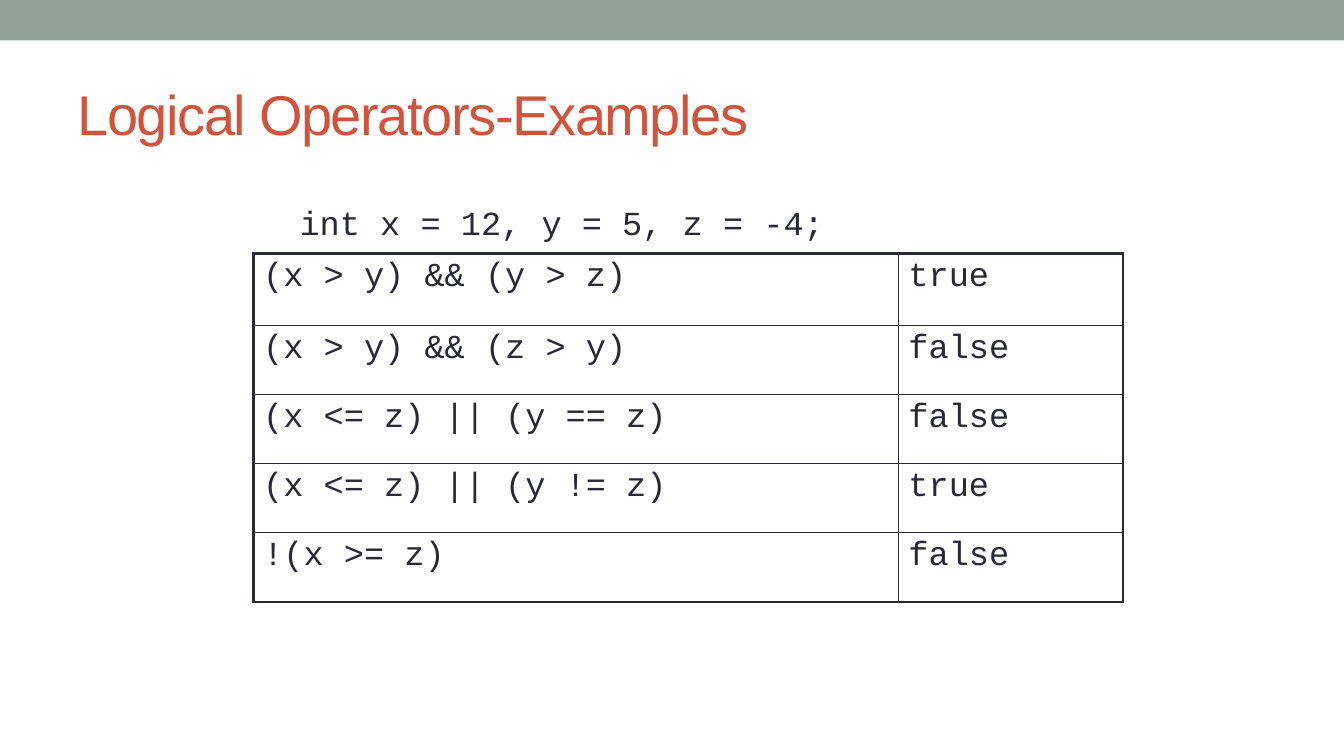
from dataclasses import dataclass

from lxml.etree import SubElement
from pptx import Presentation
from pptx.dml.color import RGBColor
from pptx.enum.shapes import MSO_SHAPE as Preset
from pptx.enum.text import MSO_ANCHOR as Anchor
from pptx.oxml import parse_xml
from pptx.oxml.ns import nsdecls, qn
from pptx.util import Cm, Pt


@dataclass(frozen=True)
class Theme:
    """Colours, fonts and sizes of the slide."""
    band: str = "93A299"
    title: str = "D2533C"
    ink: str = "292934"
    title_font: str = "Arial"
    code_font: str = "Courier New"
    title_size: int = 40
    code_size: int = 24
    outer_line: float = 2.25
    inner_line: float = 1


THEME = Theme()
DECLARATION = "int x = 12, y = 5, z = -4;"
EXAMPLES = [
    ("(x > y) && (y > z)", "true"),
    ("(x > y) && (z > y)", "false"),
    ("(x <= z) || (y == z)", "false"),
    ("(x <= z) || (y != z)", "true"),
    ("!(x >= z)", "false"),
]


def write(frame, words, font, size, color):
    """Put one styled line into a text frame."""
    frame.word_wrap = True
    line = frame.paragraphs[0]
    line.text = words
    style = line.runs[0].font
    style.name, style.size = font, Pt(size)
    style.color.rgb = RGBColor.from_string(color)
    return line


def add_band(slide, left, top, width, height):
    """Draw the plain band along the top edge."""
    band = slide.shapes.add_shape(Preset.RECTANGLE, left, top, width, height)
    band.shadow.inherit = False
    band.fill.solid()
    band.fill.fore_color.rgb = RGBColor.from_string(THEME.band)
    band.line.fill.background()


def add_title(slide, left, top, width, height):
    """Write the slide title with slightly tightened letters."""
    frame = slide.shapes.add_textbox(left, top, width, height).text_frame
    frame.vertical_anchor = Anchor.MIDDLE
    line = write(frame, "Logical Operators-Examples", THEME.title_font,
                 THEME.title_size, THEME.title)
    line.runs[0].font._element.set("spc", "-100")


def add_declaration(slide, left, top, width, height):
    """Write the variable declaration above the examples."""
    frame = slide.shapes.add_textbox(left, top, width, height).text_frame
    line = write(frame, DECLARATION, THEME.code_font, THEME.code_size, THEME.ink)
    line.line_spacing = 0.8


def rule_cell(cell, widths):
    """Draw the left, right, top and bottom borders of a cell."""
    properties = cell._tc.get_or_add_tcPr()
    for index, (side, width) in enumerate(zip("LRTB", widths)):
        border = parse_xml(f'<a:ln{side} {nsdecls("a")} w="{Pt(width)}"/>')
        fill = SubElement(border, qn("a:solidFill"))
        SubElement(fill, qn("a:srgbClr"), val=THEME.ink)
        properties.insert(index, border)


def add_examples(slide, left, top, width, height):
    """Tabulate each expression beside its result."""
    last_row, last_column = len(EXAMPLES) - 1, 1
    table = slide.shapes.add_table(len(EXAMPLES), 2, left, top, width, height).table
    table.first_row = table.horz_banding = False
    result_width = Cm(5.66)
    table.columns[0].width = width - result_width
    table.columns[1].width = result_width
    for row, row_height in zip(table.rows, (1.83, 1.73, 1.73, 1.75, 1.75)):
        row.height = Cm(row_height)
    for r, example in enumerate(EXAMPLES):
        for c, words in enumerate(example):
            cell = table.cell(r, c)
            cell.fill.background()
            write(cell.text_frame, words, THEME.code_font, THEME.code_size, THEME.ink)
            on_edge = (c == 0, c == last_column, r == 0, r == last_row)
            rule_cell(cell, [THEME.outer_line if edge else THEME.inner_line
                             for edge in on_edge])


def main():
    """Build and save the slide."""
    deck = Presentation()
    deck.slide_width, deck.slide_height = Cm(33.87), Cm(19.05)
    slide = deck.slides.add_slide(deck.slide_layouts[6])
    add_band(slide, 0, 0, deck.slide_width, Cm(1.02))
    add_title(slide, Cm(1.7), Cm(1.47), Cm(30.48), Cm(2.74))
    add_declaration(slide, Cm(7.3), Cm(5.16), Cm(19.95), Cm(1.1))
    add_examples(slide, Cm(6.38), Cm(6.38), Cm(21.92), Cm(8.79))
    deck.save("out.pptx")


if __name__ == "__main__":
    main()
